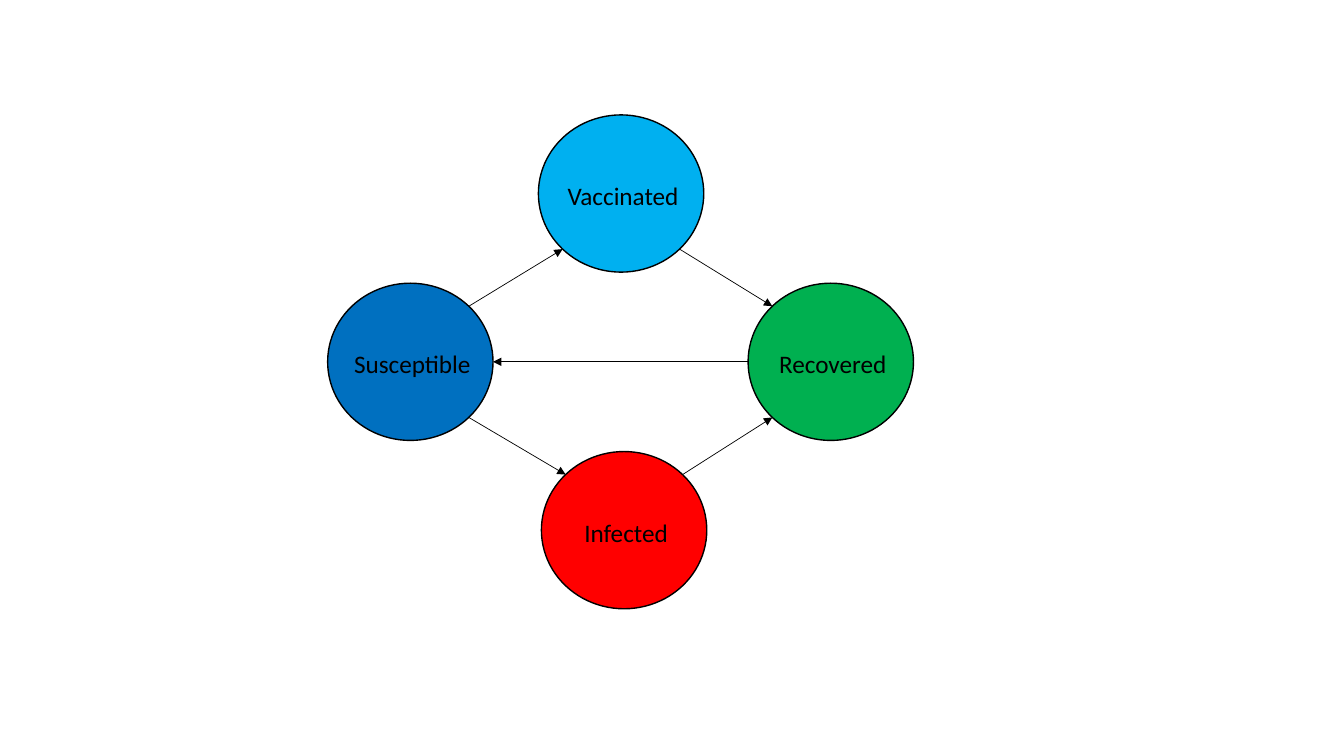
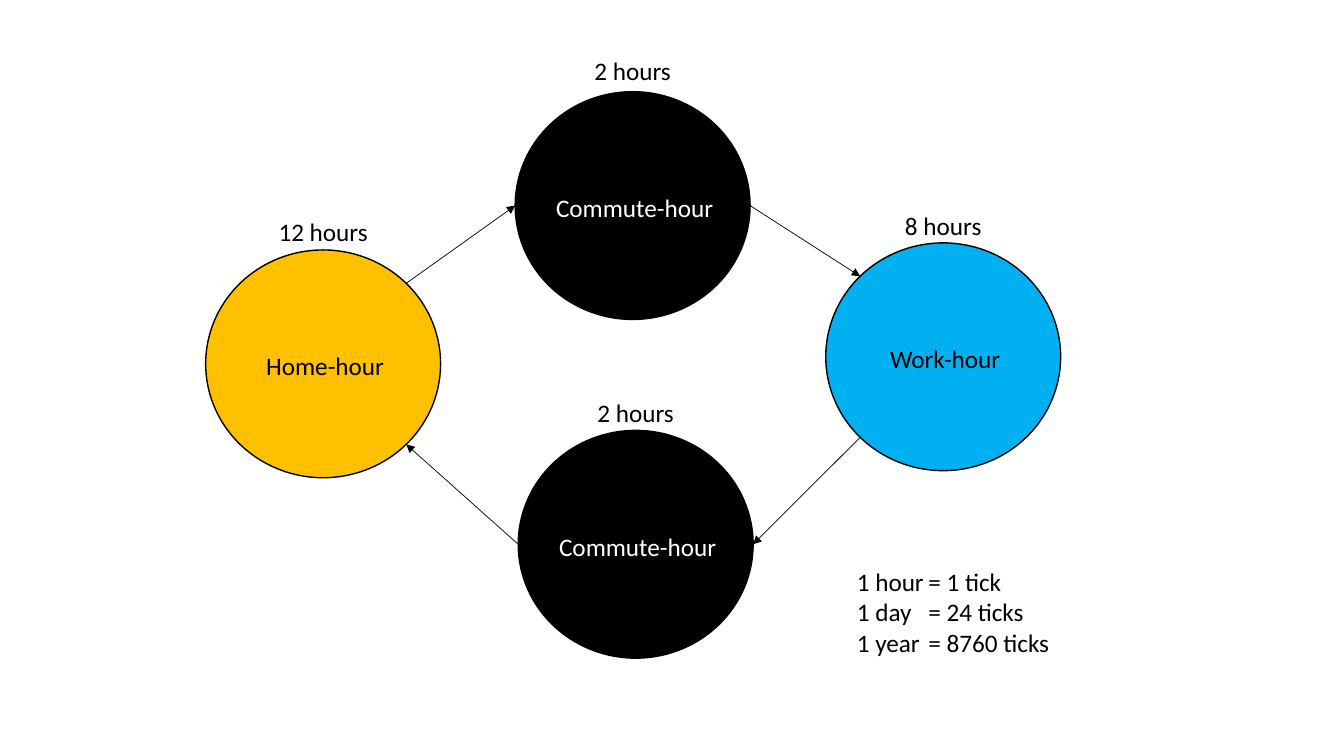
from math import sqrt
from pptx import Presentation
from pptx.dml.color import RGBColor
from pptx.enum import shapes as sh, text as tx
from pptx.oxml import ns
from pptx.util import Inches, Pt
from lxml import etree

FONT = "Calibri"
SIZE = 18
BLACK, WHITE, SKY = "000000", "FFFFFF", "00B0F0"
BLUE, RED, GREEN, GOLD = "0070C0", "FF0000", "00B050", "FFC000"
DIAG = sqrt(0.5)
SIDES = {
    "left": (-1, 0), "right": (1, 0),
    "upper left": (-DIAG, -DIAG), "upper right": (DIAG, -DIAG),
    "lower left": (-DIAG, DIAG), "lower right": (DIAG, DIAG),
}


def color(code):
    return RGBColor.from_string(code)


def add_run(para, words, tint=BLACK):
    run = para.add_run()
    run.text = words
    run.font.name = FONT
    run.font.size = Pt(SIZE)
    run.font.color.rgb = color(tint)


def add_node(slide, words, fill, box, tint=BLACK):
    node = slide.shapes.add_shape(sh.MSO_SHAPE.OVAL, *map(Inches, box))
    node.shadow.inherit = False
    node.fill.solid()
    node.fill.fore_color.rgb = color(fill)
    node.line.color.rgb = color(BLACK)
    node.line.width = Pt(1)
    frame = node.text_frame
    frame.word_wrap = False
    frame.vertical_anchor = tx.MSO_ANCHOR.MIDDLE
    frame.margin_left = frame.margin_top = Inches(0.04)
    frame.margin_right = frame.margin_bottom = 0
    para = frame.paragraphs[0]
    para.alignment = tx.PP_ALIGN.CENTER
    add_run(para, words, tint)
    return box


def add_text(slide, lines, box, align=tx.PP_ALIGN.LEFT, tab=None):
    frame = slide.shapes.add_textbox(*map(Inches, box)).text_frame
    frame.word_wrap = True
    for i, words in enumerate(lines):
        para = frame.add_paragraph() if i else frame.paragraphs[0]
        para.alignment = align
        if tab:
            stops = etree.SubElement(para._p.get_or_add_pPr(), ns.qn("a:tabLst"))
            etree.SubElement(stops, ns.qn("a:tab"), pos=str(Inches(tab)), algn="l")
        add_run(para, words)


def add_time(slide, words, node, top):
    left, _, width, _ = node
    add_text(slide, [words], (left, top, width, 0.4), tx.PP_ALIGN.CENTER)


def find_point(node, side):
    left, top, width, height = node
    dx, dy = SIDES[side]
    return left + width / 2 * (1 + dx), top + height / 2 * (1 + dy)


def add_arrow(slide, start, exit_side, end, entry_side):
    ends = find_point(start, exit_side) + find_point(end, entry_side)
    arrow = slide.shapes.add_connector(sh.MSO_CONNECTOR.STRAIGHT, *map(Inches, ends))
    arrow.line.color.rgb = color(BLACK)
    arrow.line.width = Pt(0.5)
    etree.SubElement(arrow.line._get_or_add_ln(), ns.qn("a:tailEnd"), type="triangle")
    etree.SubElement(arrow._element.spPr, ns.qn("a:effectLst"))


def draw_states(slide):
    size = (1.64, 1.56)
    sus = add_node(slide, "Susceptible", BLUE, (3.25, 2.81, *size))
    inf = add_node(slide, "Infected", RED, (5.37, 4.48, *size))
    rec = add_node(slide, "Recovered", GREEN, (7.42, 2.81, *size))
    vac = add_node(slide, "Vaccinated", SKY, (5.34, 1.14, *size))
    for link in (
        (sus, "upper right", vac, "lower left"),
        (sus, "lower right", inf, "upper left"),
        (inf, "upper right", rec, "lower left"),
        (vac, "lower right", rec, "upper left"),
        (rec, "left", sus, "right"),
    ):
        add_arrow(slide, *link)


def draw_day(slide):
    size = (2.33, 2.26)
    out = add_node(slide, "Commute-hour", BLACK, (5.11, 0.91, *size), WHITE)
    work = add_node(slide, "Work-hour", SKY, (8.19, 2.41, *size))
    home = add_node(slide, "Home-hour", GOLD, (2.04, 2.48, *size))
    back = add_node(slide, "Commute-hour", BLACK, (5.14, 4.27, *size), WHITE)
    for link in (
        (home, "upper right", out, "left"),
        (out, "right", work, "upper left"),
        (work, "lower left", back, "right"),
        (back, "left", home, "lower right"),
    ):
        add_arrow(slide, *link)
    for words, node, top in (
        ("12 hours", home, 2.1),
        ("2 hours", out, 0.5),
        ("8 hours", work, 2.04),
        ("2 hours", back, 3.89),
    ):
        add_time(slide, words, node, top)
    ticks = ["1 hour\t= 1 tick", "1 day\t= 24 ticks", "1 year\t= 8760 ticks"]
    add_text(slide, ticks, (8.4, 5.57, 2.64, 1.01), tab=0.71)


def main():
    deck = Presentation()
    deck.slide_width, deck.slide_height = Inches(13.33), Inches(7.5)
    for draw in (draw_states, draw_day):
        draw(deck.slides.add_slide(deck.slide_layouts[6]))
    deck.save("out.pptx")


if __name__ == "__main__":
    main()
